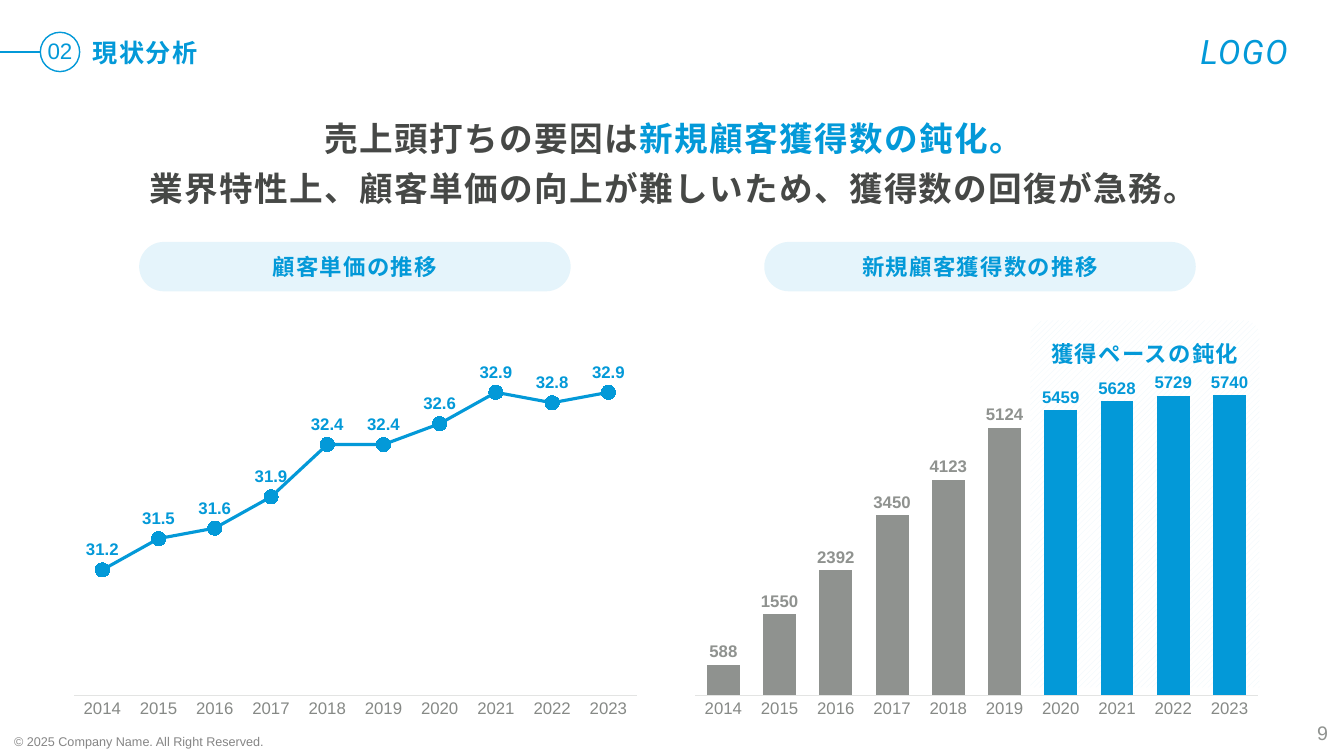
from lxml import etree
from pptx import Presentation
from pptx.chart.data import CategoryChartData
from pptx.dml.color import RGBColor
from pptx.enum.chart import XL_CHART_TYPE as ChartType
from pptx.enum.chart import XL_LABEL_POSITION as LabelPosition
from pptx.enum.chart import XL_MARKER_STYLE as MarkerStyle
from pptx.enum.chart import XL_TICK_MARK as TickMark
from pptx.enum.dml import MSO_PATTERN as Pattern
from pptx.enum.shapes import MSO_CONNECTOR as Connector
from pptx.enum.shapes import MSO_SHAPE as Shape
from pptx.enum.text import MSO_ANCHOR as Anchor
from pptx.enum.text import PP_ALIGN as Align
from pptx.oxml import parse_xml
from pptx.oxml.ns import nsdecls, qn
from pptx.util import Inches, Pt

BLUE, DARK, GRAY, AXIS_TEXT = "0399D8", "464846", "8F928F", "868986"
JAPANESE = "Noto Sans CJK JP"
YEARS = [str(year) for year in range(2014, 2024)]
UNIT_PRICES = [31.2, 31.5, 31.6, 31.9, 32.4, 32.4, 32.6, 32.9, 32.8, 32.9]
NEW_CUSTOMERS = [588, 1550, 2392, 3450, 4123, 5124, 5459, 5628, 5729, 5740]
SLOWDOWN_START = YEARS.index("2020")


def color(hex_text):
    return RGBColor.from_string(hex_text)


def place(shape, left, top, width, height):
    shape.left, shape.top = Inches(left), Inches(top)
    shape.width, shape.height = Inches(width), Inches(height)


def format_font(font, size, hex_text, bold=False, name="Arial"):
    font.size, font.bold, font.name = Pt(size), bold, name
    font.color.rgb = color(hex_text)


def format_run(run, size, hex_text, bold=False, spacing=0, name="Arial"):
    """Format a run, with letter spacing in points and a Japanese font."""
    format_font(run.font, size, hex_text, bold, name)
    properties = run.font._element
    properties.set("spc", str(spacing * 100))
    east_asian = etree.Element(qn("a:ea"), typeface=JAPANESE)
    properties.find(qn("a:latin")).addnext(east_asian)


def write(shape, text, size, hex_text, bold=False, spacing=0, name="Arial",
          align=Align.LEFT, anchor=Anchor.TOP, margin=0, wrap=False):
    frame = shape.text_frame
    frame.text = text
    frame.word_wrap, frame.vertical_anchor = wrap, anchor
    frame.margin_left = frame.margin_right = Inches(margin)
    frame.margin_top = frame.margin_bottom = Inches(margin / 2)
    for paragraph in frame.paragraphs:
        paragraph.alignment = align
        paragraph.space_before = Pt(0)
        for run in paragraph.runs:
            format_run(run, size, hex_text, bold, spacing, name)
    return frame


def add_label(slide, box, text, size, hex_text, **options):
    label = slide.shapes.add_textbox(*map(Inches, box))
    return write(label, text, size, hex_text, **options)


def add_plain_shape(slide, kind, box):
    shape = slide.shapes.add_shape(kind, *map(Inches, box))
    shape.shadow.inherit = False
    shape.line.fill.background()
    return shape


def add_section_mark(slide, number, left, top, diameter):
    middle = top + diameter / 2
    circle = add_plain_shape(slide, Shape.OVAL, (left, top, diameter, diameter))
    circle.fill.background()
    circle.line.color.rgb = color(BLUE)
    circle.line.width = Pt(1)
    lead = slide.shapes.add_connector(
        Connector.STRAIGHT, 0, Inches(middle), Inches(left), Inches(middle))
    lead.line.color.rgb = color(BLUE)
    lead.line.width = Pt(1)
    etree.SubElement(lead._element.spPr, qn("a:effectLst"))

    place(slide.shapes.title, left + 0.52, top + 0.08, 2.13, 0.27)
    frame = write(slide.shapes.title, "現状分析", 18, BLUE, bold=True, spacing=1)
    frame.paragraphs[0].line_spacing = 0.9
    place(number, left + 0.07, top + 0.08, 0.25, 0.24)
    frame = write(number, "02", 16, BLUE, align=Align.CENTER)
    frame.paragraphs[0].line_spacing = 0.9


def add_headline(headline, box):
    place(headline, *box)
    frame = write(headline, "売上頭打ちの要因は\n"
                  "業界特性上、顧客単価の向上が難しいため、獲得数の回復が急務。",
                  24, DARK, bold=True, spacing=1, align=Align.CENTER)
    first, second = frame.paragraphs
    emphasis = first.add_run()
    emphasis.text = "新規顧客獲得数の鈍化。"
    format_run(emphasis, 24, BLUE, bold=True, spacing=1)
    first.line_spacing = second.line_spacing = 0.9
    second.space_before = Pt(10)


def add_pill(slide, box, text):
    pill = add_plain_shape(slide, Shape.ROUNDED_RECTANGLE, box)
    pill.adjustments[0] = 0.5
    pill.fill.solid()
    pill.fill.fore_color.rgb = color(BLUE)
    tint = pill._element.spPr.find(".//" + qn("a:srgbClr"))
    etree.SubElement(tint, qn("a:alpha"), val="10000")
    write(pill, text, 16, BLUE, bold=True, spacing=1, align=Align.CENTER,
          anchor=Anchor.MIDDLE, margin=0.1, wrap=True)


def add_year_chart(slide, kind, box, values, low, high):
    """Add a chart with a year axis and a hidden value axis; return its plot."""
    data = CategoryChartData()
    data.categories = YEARS
    data.add_series("Series 1", values)
    chart = slide.shapes.add_chart(kind, *map(Inches, box), data).chart
    chart.has_legend = chart.has_title = False
    format_font(chart.font, 10, DARK)

    year_axis, value_axis = chart.category_axis, chart.value_axis
    year_axis.major_tick_mark = year_axis.minor_tick_mark = TickMark.NONE
    year_axis.has_major_gridlines = value_axis.has_major_gridlines = False
    year_axis.format.line.color.rgb = color("E3E4E3")
    year_axis.format.line.width = Pt(0.75)
    format_font(year_axis.tick_labels.font, 12, AXIS_TEXT)
    value_axis.minimum_scale, value_axis.maximum_scale = low, high
    value_axis.visible = False

    area = chart._chartSpace.chart.plotArea
    for layout in area.findall(qn("c:layout")):
        area.remove(layout)
    area.insert(0, parse_xml(
        f'<c:layout {nsdecls("c")}><c:manualLayout>'
        '<c:layoutTarget val="inner"/><c:xMode val="edge"/>'
        '<c:yMode val="edge"/><c:x val="0.02"/><c:y val="0.02"/>'
        '<c:w val="0.96"/><c:h val="0.905"/></c:manualLayout></c:layout>'))
    plot = chart.plots[0]
    plot.vary_by_categories = False
    return plot


def label_series(series, hex_text, position):
    labels = series.data_labels
    labels.show_value = True
    labels.position = position
    format_font(labels.font, 12, hex_text, bold=True)


def add_price_chart(slide, box):
    plot = add_year_chart(slide, ChartType.LINE_MARKERS, box, UNIT_PRICES, 30, 33.5)
    series = plot.series[0]
    series.smooth = False
    series.format.line.color.rgb = color(BLUE)
    series.format.line.width = Pt(2.25)
    series.marker.style, series.marker.size = MarkerStyle.CIRCLE, 10
    series.marker.format.fill.solid()
    series.marker.format.fill.fore_color.rgb = color(BLUE)
    series.marker.format.line.color.rgb = color(BLUE)
    label_series(series, BLUE, LabelPosition.ABOVE)


def add_customer_chart(slide, box):
    left, top = box[:2]
    hatch = add_plain_shape(slide, Shape.ROUND_2_SAME_RECTANGLE,
                            (left + 3.44, top - 0.01, 2.27, 3.64))
    hatch.adjustments[0] = 0.065
    hatch.fill.patterned()
    hatch.fill.pattern = Pattern.WIDE_UPWARD_DIAGONAL
    hatch.fill.fore_color.rgb = color("ECF6FC")
    hatch.fill.back_color.rgb = color("FFFFFF")

    plot = add_year_chart(slide, ChartType.COLUMN_CLUSTERED, box, NEW_CUSTOMERS, 0, 7000)
    plot.gap_width, plot.overlap = 71, -27
    series = plot.series[0]
    label_series(series, GRAY, LabelPosition.OUTSIDE_END)
    series.format.fill.solid()
    series.format.fill.fore_color.rgb = color(GRAY)
    for index in range(SLOWDOWN_START, len(YEARS)):
        point = series.points[index]
        point.format.fill.solid()
        point.format.fill.fore_color.rgb = color(BLUE)
        format_font(point.data_label.font, 12, BLUE, bold=True)
        point.data_label.position = LabelPosition.OUTSIDE_END

    frame = add_label(slide, (left + 3.52, top + 0.09, 2.11, 0.4), "獲得ペースの鈍化",
                      16, BLUE, bold=True, spacing=1, name=JAPANESE,
                      align=Align.CENTER, margin=0.1)
    frame.paragraphs[0].line_spacing = 1.17


def add_footer(slide):
    add_label(slide, (0.14, 7.28, 2.56, 0.15),
              "© 2025 Company Name. All Right Reserved.", 9, "858585", anchor=Anchor.MIDDLE)
    add_label(slide, (12.65, 7.07, 0.62, 0.4), "9", 14, GRAY, align=Align.RIGHT,
              anchor=Anchor.MIDDLE, margin=0.1, wrap=True)


def main():
    presentation = Presentation()
    presentation.slide_width, presentation.slide_height = Inches(13.33), Inches(7.5)
    slide = presentation.slides.add_slide(presentation.slide_layouts.get_by_name("Comparison"))
    title, headline, left_content, number, right_content = slide.placeholders
    for unused in (left_content, right_content):
        unused._element.getparent().remove(unused._element)

    add_section_mark(slide, number, 0.4, 0.32, 0.39)
    logo = add_label(slide, (11.71, 0.26, 1.26, 0.5), "LOGO", 24, BLUE, spacing=1,
                     name="Roboto", align=Align.CENTER, margin=0.1)
    logo.paragraphs[0].runs[0].font.italic = True
    add_headline(headline, (1.42, 1.21, 10.52, 0.87))
    add_pill(slide, (1.38, 2.4, 4.28, 0.49), "顧客単価の推移")
    add_pill(slide, (7.58, 2.4, 4.28, 0.49), "新規顧客獲得数の推移")
    add_price_chart(slide, (0.62, 3.19, 5.81, 4.01))
    add_customer_chart(slide, (6.78, 3.19, 5.81, 4.01))
    add_footer(slide)
    presentation.save("out.pptx")


if __name__ == "__main__":
    main()
